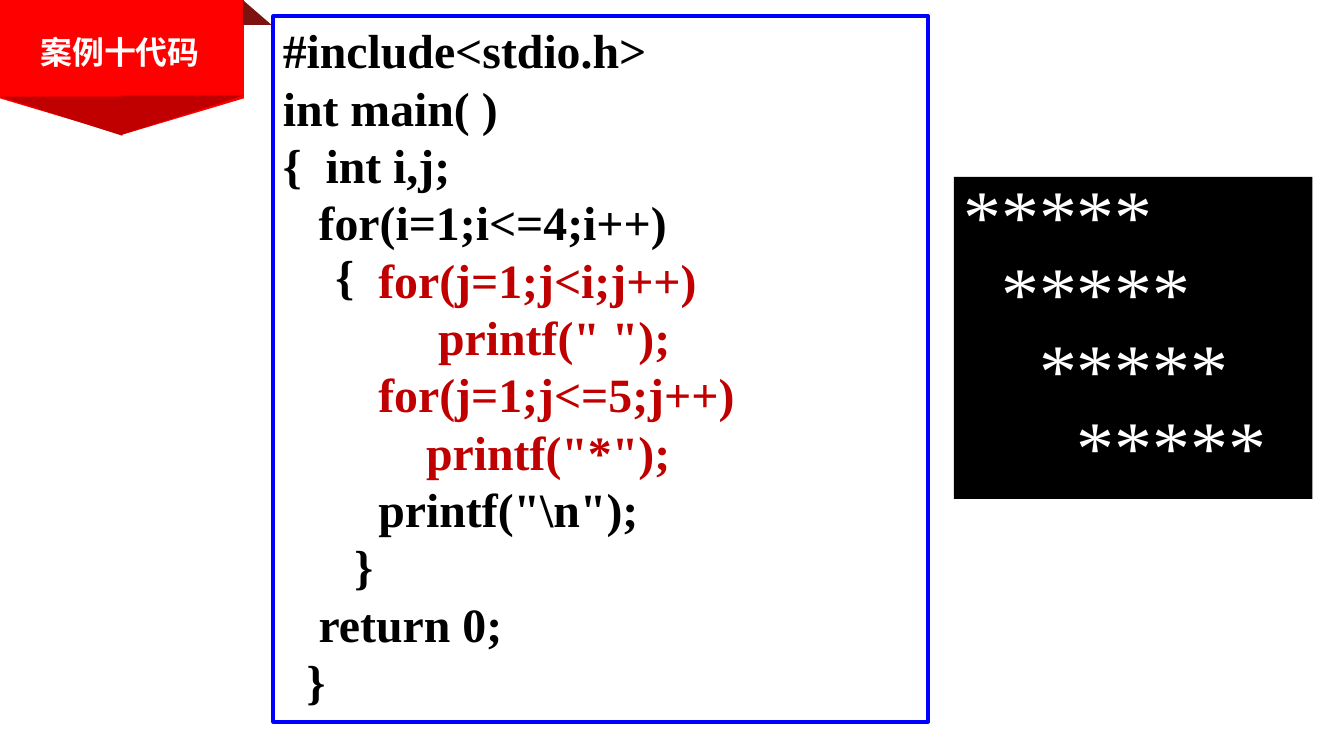
from pptx import Presentation
from pptx.dml.color import RGBColor
from pptx.enum.shapes import MSO_SHAPE
from pptx.enum.text import MSO_ANCHOR, PP_ALIGN
from pptx.util import Inches, Pt

COLORS = {
    "red": "FF0000",
    "fold": "C00000",
    "shade": "7D1310",
    "frame": "0000FF",
    "black": "000000",
    "white": "FFFFFF",
}
FONT = "Times New Roman"
TITLE = "案例十代码"
CODE = [
    ("#include<stdio.h>", "black"),
    ("int main( )", "black"),
    ("{  int i,j;", "black"),
    ("   for(i=1;i<=4;i++)", "black"),
    ("        for(j=1;j<i;j++)", "fold"),
    ('             printf(" ");', "fold"),
    ("        for(j=1;j<=5;j++)", "fold"),
    ('            printf("*");', "fold"),
    ('        printf("\\n");', "black"),
    ("      }", "black"),
    ("   return 0;", "black"),
    ("  }", "black"),
]
OUTPUT = [
    ("*****", "white"),
    ("  *****", "white"),
    ("    *****", "white"),
    ("      *****", "white"),
]
RIBBON = [
    (MSO_SHAPE.PENTAGON, (0.57, -0.57, 1.41, 2.55), "red", 90, False),
    (MSO_SHAPE.RIGHT_TRIANGLE, (2.54, 0, 0.3, 0.26), "shade", 0, False),
    (MSO_SHAPE.RIGHT_TRIANGLE, (0, 1.01, 1.28, 0.41), "fold", 180, False),
    (MSO_SHAPE.RIGHT_TRIANGLE, (1.27, 1, 1.28, 0.41), "fold", 0, True),
]


def rgb(name):
    return RGBColor.from_string(COLORS[name])


def add_block(s, kind, box, fill=None, line=None):
    sp = s.shapes.add_shape(kind, *map(Inches, box))
    sp.shadow.inherit = False
    if fill:
        sp.fill.solid()
        sp.fill.fore_color.rgb = rgb(fill)
    else:
        sp.fill.background()
    if line:
        sp.line.color.rgb = rgb(line)
        sp.line.width = Pt(3)
    else:
        sp.line.fill.background()
    return sp


def write(sp, lines, size, bold=True, align=PP_ALIGN.LEFT,
          anchor=MSO_ANCHOR.TOP, spacing=None, wrap=True):
    tf = sp.text_frame
    tf.word_wrap = wrap
    tf.vertical_anchor = anchor
    tf.text = "\n".join(text for text, color in lines)
    for p, (text, color) in zip(tf.paragraphs, lines):
        p.alignment = align
        if spacing:
            p.line_spacing = spacing
        for r in p.runs:
            r.font.name = FONT
            r.font.size = Pt(size)
            r.font.bold = bold
            r.font.color.rgb = rgb(color)


def add_label(s, box, lines, size, **style):
    write(s.shapes.add_textbox(*map(Inches, box)), lines, size, **style)


def main():
    prs = Presentation()
    prs.slide_width, prs.slide_height = Inches(14.06), Inches(7.91)
    s = prs.slides.add_slide(prs.slide_layouts[6])

    for kind, box, fill, angle, flipped in RIBBON:
        sp = add_block(s, kind, box, fill)
        sp.rotation = angle
        if kind == MSO_SHAPE.PENTAGON:
            sp.adjustments[0] = 0.27
        if flipped:
            sp._element.spPr.get_or_add_xfrm().set("flipV", "1")

    code = add_block(s, MSO_SHAPE.RECTANGLE, (2.86, 0.17, 6.85, 7.38), line="frame")
    write(code, CODE, 36)
    add_label(s, (0.27, 0.1, 1.97, 0.89), [(TITLE, "white")], 24,
              align=PP_ALIGN.CENTER, anchor=MSO_ANCHOR.MIDDLE)
    add_label(s, (3.41, 2.53, 0.4, 0.71), [("{", "black")], 36, wrap=False)
    console = add_block(s, MSO_SHAPE.RECTANGLE, (9.98, 1.85, 3.75, 3.37), "black")
    write(console, OUTPUT, 57, bold=False, spacing=0.85)

    prs.save("out.pptx")


if __name__ == "__main__":
    main()
